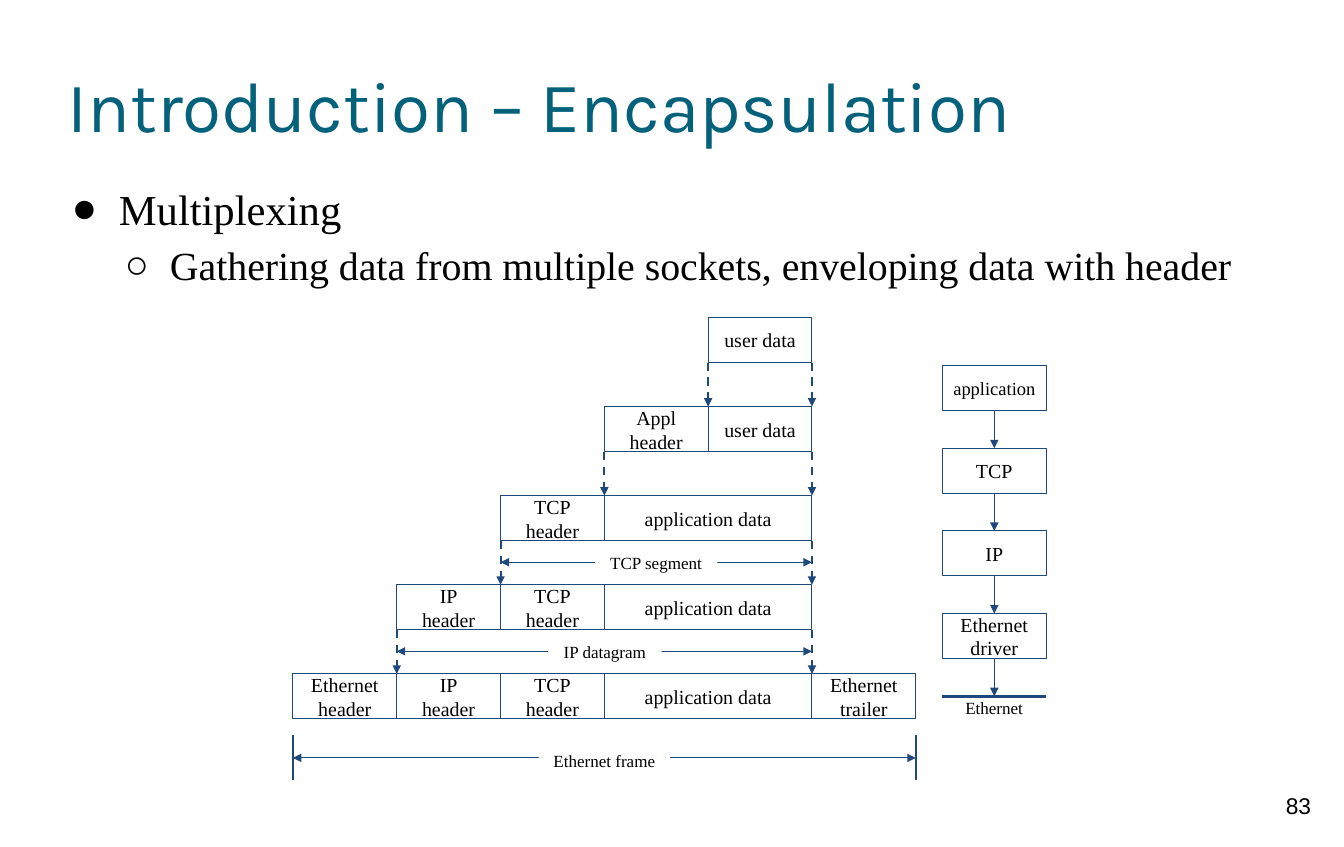
from copy import deepcopy

from lxml import etree
from pptx import Presentation
from pptx.dml.color import RGBColor
from pptx.enum.dml import MSO_LINE
from pptx.enum.shapes import MSO_CONNECTOR, MSO_SHAPE
from pptx.enum.text import MSO_ANCHOR, MSO_AUTO_SIZE, PP_ALIGN
from pptx.oxml.ns import qn
from pptx.util import Inches, Pt

RECTANGLE = MSO_SHAPE.RECTANGLE
STRAIGHT = MSO_CONNECTOR.STRAIGHT
DASH = MSO_LINE.DASH
LEFT, CENTER = PP_ALIGN.LEFT, PP_ALIGN.CENTER
TOP, MIDDLE = MSO_ANCHOR.TOP, MSO_ANCHOR.MIDDLE
NO_AUTOFIT = MSO_AUTO_SIZE.NONE

TEAL = RGBColor(0x04, 0x61, 0x7B)
NAVY = RGBColor(0x1F, 0x49, 0x7D)
BLACK = RGBColor(0, 0, 0)
WHITE = RGBColor(0xFF, 0xFF, 0xFF)
SERIF = "Times New Roman"

# Packet grid: six equal columns, five rows
GRID_LEFT, GRID_RIGHT, GRID_TOP = 2.86, 8.94, 3.1
COLUMN_WIDTH = (GRID_RIGHT - GRID_LEFT) / 6
ROW_PITCH, BOX_HEIGHT = 0.87, 0.44
DATA_END = 5  # column edge where the data part ends

# Each row: first column, then cells as (text, columns spanned)
PACKET_ROWS = [
    (4, [("user data", 1)]),
    (3, [("Appl\nheader", 1), ("user data", 1)]),
    (2, [("TCP\nheader", 1), ("application data", 2)]),
    (1, [("IP\nheader", 1), ("TCP\nheader", 1), ("application data", 2)]),
    (0, [("Ethernet\nheader", 1), ("IP\nheader", 1), ("TCP\nheader", 1),
         ("application data", 2), ("Ethernet\ntrailer", 1)]),
]

# Protocol stack
STACK_LEFT, STACK_TOP, STACK_PITCH = 9.2, 3.57, 0.807
STACK_LAYERS = [("application", 13), ("TCP", 14), ("IP", 14), ("Ethernet\ndriver", 14)]
ETHERNET_Y = 6.8


def column_x(column):
    return GRID_LEFT + column * COLUMN_WIDTH


def format_paragraph(paragraph, size, font=SERIF, color=BLACK, align=CENTER):
    paragraph.alignment = align
    for run in paragraph.runs:
        run.font.size = Pt(size)
        run.font.name = font
        run.font.color.rgb = color
    # Line breaks take the size of the text around them
    for line_break in paragraph._p.findall(qn("a:br")):
        line_break.append(deepcopy(paragraph.runs[0]._r.rPr))


def set_text(shape, text, size, anchor=TOP, font=SERIF):
    frame = shape.text_frame
    frame.word_wrap = True
    frame.vertical_anchor = anchor
    frame.margin_left = frame.margin_right = Inches(0.1)
    frame.margin_top = frame.margin_bottom = Inches(0.1)
    paragraph = frame.paragraphs[0]
    paragraph.text = text
    format_paragraph(paragraph, size, font)


def add_box(slide, left, top, width, text, size=14):
    box = slide.shapes.add_shape(
        RECTANGLE, Inches(left), Inches(top), Inches(width), Inches(BOX_HEIGHT))
    box.shadow.inherit = False
    box.fill.background()
    box.line.color.rgb = NAVY
    box.line.width = Pt(0.75)
    set_text(box, text, size, MIDDLE)


def add_label(slide, left, top, width, text):
    label = slide.shapes.add_shape(
        RECTANGLE, Inches(left), Inches(top), Inches(width), Inches(0.4))
    label.shadow.inherit = False
    label.fill.solid()
    label.fill.fore_color.rgb = WHITE
    label.line.fill.background()
    set_text(label, text, 12)


def add_text(slide, left, top, width, height, text, size, font=SERIF):
    box = slide.shapes.add_textbox(
        Inches(left), Inches(top), Inches(width), Inches(height))
    set_text(box, text, size, font=font)


def add_line(slide, start, end, width=0.75, dash=None, arrows=()):
    connector = slide.shapes.add_connector(STRAIGHT, *map(Inches, start + end))
    connector.line.color.rgb = NAVY
    connector.line.width = Pt(width)
    if dash:
        connector.line.dash_style = dash
    line = connector.line._get_or_add_ln()
    for arrow in arrows:
        etree.SubElement(line, qn(f"a:{arrow}"), type="triangle")
    etree.SubElement(connector._element.spPr, qn("a:effectLst"))


def add_title(slide, text):
    title = slide.shapes.title
    title.left, title.top = Inches(0.66), Inches(0.33)
    title.width, title.height = Inches(11.81), Inches(1.38)
    frame = title.text_frame
    frame.text = text
    frame.auto_size = NO_AUTOFIT
    frame.vertical_anchor = MIDDLE
    frame.margin_left = frame.margin_right = 0
    frame.margin_top = frame.margin_bottom = 0
    format_paragraph(frame.paragraphs[0], 50, "Karla", TEAL, LEFT)


def add_bullets(slide):
    bullets = [
        ("Multiplexing", "●", 30, 0.5, -0.46),
        ("Gathering data from multiple sockets, enveloping data with header",
         "○", 28, 1, -0.44),
    ]
    box = slide.shapes.add_textbox(Inches(0.66), Inches(1.71), Inches(11.84), Inches(1.05))
    frame = box.text_frame
    frame.word_wrap = True
    frame.margin_left = frame.margin_right = 0
    frame.margin_top = frame.margin_bottom = 0
    for level, (text, mark, size, margin, indent) in enumerate(bullets):
        paragraph = frame.add_paragraph() if level else frame.paragraphs[0]
        paragraph.text = text
        paragraph.level = level
        paragraph.line_spacing = 1.15
        properties = paragraph._p.get_or_add_pPr()
        properties.set("marL", str(Inches(margin)))
        properties.set("indent", str(Inches(indent)))
        color = etree.SubElement(properties, qn("a:buClr"))
        etree.SubElement(color, qn("a:srgbClr"), val=str(BLACK))
        etree.SubElement(properties, qn("a:buFont"), typeface=SERIF)
        etree.SubElement(properties, qn("a:buChar"), char=mark)
        format_paragraph(paragraph, size, align=LEFT)


def add_packet_rows(slide):
    for row, (first_column, cells) in enumerate(PACKET_ROWS):
        top = GRID_TOP + row * ROW_PITCH
        column = first_column
        for text, span in cells:
            add_box(slide, column_x(column), top, span * COLUMN_WIDTH, text)
            column += span
        # Dashed arrows down to the next row
        if row < len(PACKET_ROWS) - 1:
            for edge in (DATA_END, first_column):
                x = column_x(edge)
                add_line(slide, (x, top + BOX_HEIGHT), (x, top + ROW_PITCH),
                         1.5, DASH, ["tailEnd"])


def add_spans(slide):
    # Upright ends of the Ethernet frame
    for x in (GRID_LEFT, GRID_RIGHT):
        add_line(slide, (x, 7.18), (x, 7.62), 1.5)
    spans = [
        ("TCP segment", 2, DATA_END, 5.49, 5.81, 5.29, 1.19),
        ("IP datagram", 1, DATA_END, 6.36, 5.35, 6.16, 1.11),
        ("Ethernet frame", 0, 6, 7.4, 5.26, 7.23, 1.28),
    ]
    for text, first, last, y, left, top, width in spans:
        add_line(slide, (column_x(first), y), (column_x(last), y),
                 arrows=["headEnd", "tailEnd"])
        add_label(slide, left, top, width, text)


def add_protocol_stack(slide):
    center = STACK_LEFT + COLUMN_WIDTH / 2
    for layer, (text, size) in enumerate(STACK_LAYERS):
        top = STACK_TOP + layer * STACK_PITCH
        add_box(slide, STACK_LEFT, top, COLUMN_WIDTH, text, size)
        add_line(slide, (center, top + BOX_HEIGHT), (center, top + STACK_PITCH),
                 arrows=["tailEnd"])
    add_line(slide, (STACK_LEFT, ETHERNET_Y), (STACK_LEFT + COLUMN_WIDTH, ETHERNET_Y), 1.5)
    add_text(slide, 9.15, 6.71, 1.11, 0.4, "Ethernet", 12)


def main():
    presentation = Presentation()
    presentation.slide_width = Inches(13.12)
    presentation.slide_height = Inches(8.27)
    slide = presentation.slides.add_slide(presentation.slide_layouts[5])
    add_title(slide, "Introduction – Encapsulation")
    add_bullets(slide)
    add_packet_rows(slide)
    add_spans(slide)
    add_protocol_stack(slide)
    add_text(slide, 12.28, 7.63, 0.79, 0.63, "83", 16, "Arial")
    presentation.save("out.pptx")


if __name__ == "__main__":
    main()
